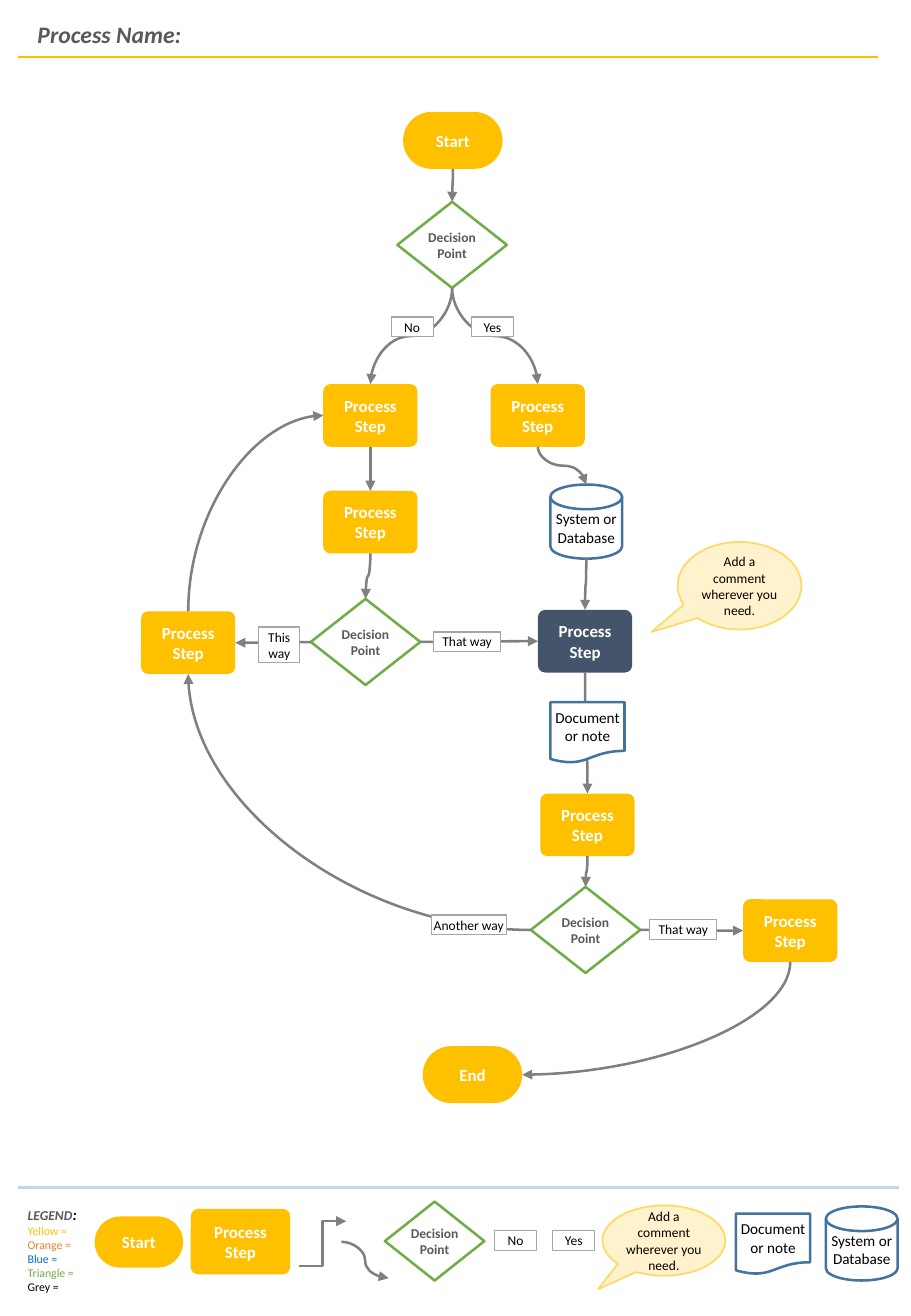
from typing import NamedTuple

from lxml import etree
from pptx import Presentation
from pptx.dml.color import RGBColor
from pptx.enum.shapes import MSO_CONNECTOR, MSO_SHAPE
from pptx.enum.text import MSO_ANCHOR, MSO_AUTO_SIZE, PP_ALIGN
from pptx.oxml.ns import qn
from pptx.util import Cm, Pt

STRAIGHT, ELBOW, CURVE = MSO_CONNECTOR.STRAIGHT, MSO_CONNECTOR.ELBOW, MSO_CONNECTOR.CURVE
ROUNDED, DIAMOND, RECTANGLE = MSO_SHAPE.ROUNDED_RECTANGLE, MSO_SHAPE.DIAMOND, MSO_SHAPE.RECTANGLE
DOCUMENT, DISK = MSO_SHAPE.FLOWCHART_DOCUMENT, MSO_SHAPE.FLOWCHART_MAGNETIC_DISK
CALLOUT = MSO_SHAPE.OVAL_CALLOUT
TOP_ANCHOR, MIDDLE = MSO_ANCHOR.TOP, MSO_ANCHOR.MIDDLE
GROW, FIXED = MSO_AUTO_SIZE.SHAPE_TO_FIT_TEXT, MSO_AUTO_SIZE.NONE
LEFT_ALIGN, CENTER = PP_ALIGN.LEFT, PP_ALIGN.CENTER
TOP, LEFT, BOTTOM, RIGHT = range(4)
TITLE_ONLY = 5

FONT = "Calibri"
YELLOW, GREEN, DARK, GREY = "FFC000", "70AD47", "595959", "808080"
NAVY, STEEL, BLACK, WHITE = "44546A", "43739E", "000000", "FFFFFF"
SLIDE_WIDTH, SLIDE_HEIGHT = 19.05, 27.51


class Style(NamedTuple):
    preset: int
    fill: str | None
    outline: str | None
    outline_width: float
    font_size: int
    font_color: str
    bold: bool
    inset: float
    size: tuple
    adjustments: tuple = ()


STEP = Style(ROUNDED, YELLOW, None, 0, 10, WHITE, True, 0.1, (1.97, 1.31), (0.116,))
TERMINAL = STEP._replace(size=(2.08, 1.19), adjustments=(0.5,))
DECISION = Style(DIAMOND, None, GREEN, 1.5, 8, DARK, True, 0, (2.29, 1.8))
DATABASE = Style(DISK, WHITE, STEEL, 1.5, 9, BLACK, False, 0.03, (1.5, 1.55))
NOTE = DATABASE._replace(preset=DOCUMENT, size=(1.55, 1.27))
LABEL = Style(RECTANGLE, WHITE, "A6A6A6", 0.75, 8, BLACK, False, 0.03, (0.88, 0.41))
COMMENT = Style(CALLOUT, "FFF2CC", "FFD966", 1, 8, BLACK, False, 0.03, (2.59, 1.83), (-0.711, 0.528))

STEP_TEXT, DECISION_TEXT = "Process Step", "Decision Point"
DATABASE_TEXT, NOTE_TEXT = "System or Database", "Document or note"
COMMENT_TEXT = "Add a comment wherever you need."


def color(value):
    return RGBColor.from_string(value)


def add_run(paragraph, text, size, font_color, bold=False, italic=False):
    run = paragraph.add_run()
    run.text = text
    run.font.name = FONT
    run.font.size = Pt(size)
    run.font.bold = bold
    run.font.italic = italic
    run.font.color.rgb = color(font_color)


def add_node(slide, box, style, text, left, top, size=None):
    width, height = size or style.size
    shape = slide.shapes.add_shape(style.preset, Cm(box[0] + left), Cm(box[1] + top), Cm(width), Cm(height))
    shape.shadow.inherit = False
    for index, value in enumerate(style.adjustments):
        shape.adjustments[index] = value
    if style.fill:
        shape.fill.solid()
        shape.fill.fore_color.rgb = color(style.fill)
    else:
        shape.fill.background()
    if style.outline:
        shape.line.color.rgb = color(style.outline)
        shape.line.width = Pt(style.outline_width)
    else:
        shape.line.fill.background()
    frame = shape.text_frame
    frame.word_wrap = True
    frame.margin_left = frame.margin_right = frame.margin_top = frame.margin_bottom = Cm(style.inset)
    frame.vertical_anchor = TOP_ANCHOR if style is LABEL else MIDDLE
    frame.auto_size = GROW if style is LABEL else FIXED
    paragraph = frame.paragraphs[0]
    paragraph.alignment = CENTER
    add_run(paragraph, text, style.font_size, style.font_color, style.bold)
    return shape


def add_line(slide, kind, begin, end, line_color, arrow=False):
    connector = slide.shapes.add_connector(kind, *begin, *end)
    connector.line.color.rgb = color(line_color)
    connector.line.width = Pt(1.5)
    properties = connector._element.spPr
    if arrow:
        etree.SubElement(properties.find(qn("a:ln")), qn("a:tailEnd"), type="triangle")
    etree.SubElement(properties, qn("a:effectLst"))
    return connector


def side_point(shape, side):
    across = {LEFT: 0, RIGHT: shape.width}.get(side, shape.width // 2)
    down = {TOP: 0, BOTTOM: shape.height}.get(side, shape.height // 2)
    return shape.left + across, shape.top + down


def site(shape, side):
    return side + (shape.auto_shape_type == DISK)


def join(slide, first, first_side, last, last_side):
    begin, end = side_point(first, first_side), side_point(last, last_side)
    connector = add_line(slide, CURVE, begin, end, GREY, True)
    connector.begin_connect(first, site(first, first_side))
    connector.end_connect(last, site(last, last_side))

    across, down = end[0] - begin[0], end[1] - begin[1]
    vertical = first_side in (TOP, BOTTOM)
    width, height = (abs(down), abs(across)) if vertical else (abs(across), abs(down))
    connector.left = (begin[0] + end[0] - width) // 2
    connector.top = (begin[1] + end[1] - height) // 2
    connector.width, connector.height = width, height
    if vertical:
        rotation = 270 if across > 0 and down > 0 else 90
        flip_h, flip_v = across > 0, down < 0
    else:
        rotation = 180 if across < 0 else 0
        flip_h, flip_v = False, (across > 0) == (down < 0)
    properties = connector._element.spPr
    transform = properties.find(qn("a:xfrm"))
    transform.set("rot", str(rotation * 60000))
    transform.set("flipH", str(int(flip_h)))
    transform.set("flipV", str(int(flip_v)))
    if vertical != (last_side in (TOP, BOTTOM)):
        properties.find(qn("a:prstGeom")).set("prst", "curvedConnector2")


def add_header(slide, box):
    left, top, width, height = box
    title = slide.shapes.title
    title.left, title.top, title.width, title.height = Cm(left + 0.15), Cm(top), Cm(4.83), Cm(0.86)
    frame = title.text_frame
    frame.vertical_anchor = TOP_ANCHOR
    frame.auto_size = GROW
    frame.paragraphs[0].alignment = LEFT_ALIGN
    add_run(frame.paragraphs[0], "Process Name:", 14, DARK, True, True)
    baseline = Cm(top + height)
    add_line(slide, STRAIGHT, (Cm(left), baseline), (Cm(left + width), baseline), YELLOW)


def add_flow(slide, box):
    def node(style, text, left, top, size=None):
        return add_node(slide, box, style, text, left, top, size)

    start = node(TERMINAL, "Start", 5.48, 0)
    first_decision = node(DECISION, DECISION_TEXT, 5.36, 1.88)
    no_step = node(STEP, STEP_TEXT, 3.81, 5.69)
    yes_step = node(STEP, STEP_TEXT, 7.31, 5.69)
    follow_step = node(STEP, STEP_TEXT, 3.81, 7.92)
    database = node(DATABASE, DATABASE_TEXT, 8.56, 7.79)
    way_decision = node(DECISION, DECISION_TEXT, 3.55, 10.18)
    return_step = node(STEP, STEP_TEXT, 0, 10.44)
    navy_step = node(STEP._replace(fill=NAVY), STEP_TEXT, 8.3, 10.41)
    noted_step = node(STEP, STEP_TEXT, 8.35, 14.25)
    last_decision = node(DECISION, DECISION_TEXT, 8.15, 16.2)
    last_step = node(STEP, STEP_TEXT, 12.59, 16.46)
    finish = node(TERMINAL, "End", 5.89, 19.53)
    node(COMMENT, COMMENT_TEXT, 11.22, 8.99)

    for first, first_side, last, last_side in (
        (start, BOTTOM, first_decision, TOP),
        (first_decision, BOTTOM, no_step, TOP),
        (first_decision, BOTTOM, yes_step, TOP),
        (no_step, BOTTOM, follow_step, TOP),
        (follow_step, BOTTOM, way_decision, TOP),
        (way_decision, LEFT, return_step, RIGHT),
        (way_decision, RIGHT, navy_step, LEFT),
        (return_step, TOP, no_step, LEFT),
        (yes_step, BOTTOM, database, TOP),
        (database, BOTTOM, navy_step, TOP),
        (navy_step, BOTTOM, noted_step, TOP),
        (noted_step, BOTTOM, last_decision, TOP),
        (last_decision, LEFT, return_step, BOTTOM),
        (last_decision, RIGHT, last_step, LEFT),
        (last_step, BOTTOM, finish, RIGHT),
    ):
        join(slide, first, first_side, last, last_side)

    node(NOTE, NOTE_TEXT, 8.56, 12.34)
    node(LABEL, "No", 5.23, 4.29)
    node(LABEL, "Yes", 6.91, 4.29)
    node(LABEL, "This way", 2.46, 10.77, (0.86, 0.74))
    node(LABEL, "That way", 6.12, 10.87, (1.4, 0.41))
    node(LABEL, "Another way", 6.07, 16.79, (1.57, 0.41))
    node(LABEL, "That way", 10.64, 16.89, (1.4, 0.41))


def add_legend(slide, box):
    left, top, width, height = box
    add_line(slide, STRAIGHT, (Cm(left), Cm(top)), (Cm(left + width), Cm(top)), "BDD7EE")
    key = slide.shapes.add_textbox(Cm(left - 0.05), Cm(top + 0.25), Cm(2.49), Cm(height - 0.25))
    frame = key.text_frame
    frame.word_wrap = True
    frame.auto_size = GROW
    add_run(frame.paragraphs[0], "LEGEND", 8, DARK, True, True)
    add_run(frame.paragraphs[0], ":", 9, BLACK, True, True)
    for text, text_color in (("Yellow =", YELLOW), ("Orange =", "ED7D31"), ("Blue =", "0070C0"),
                             ("Triangle =", GREEN), ("Grey =", BLACK)):
        add_run(frame.add_paragraph(), text, 7, text_color)

    for style, text, x, y, size in (
        (TERMINAL, "Start", 1.6, 0.61, (1.85, 1.07)),
        (STEP, STEP_TEXT, 3.61, 0.45, (2.08, 1.37)),
        (DECISION, DECISION_TEXT, 7.67, 0.3, (2.08, 1.65)),
        (LABEL, "No", 9.96, 0.91, None),
        (LABEL, "Yes", 11.18, 0.91, None),
        (COMMENT._replace(adjustments=(-0.536, 0.692)), COMMENT_TEXT, 12.22, 0.38, (2.57, 1.47)),
        (NOTE, NOTE_TEXT, 15.01, 0.55, None),
        (DATABASE, DATABASE_TEXT, 16.89, 0.4, None),
    ):
        add_node(slide, box, style, text, x, y, size)
    for kind, x, y, end_x, end_y in ((ELBOW, 5.87, 1.65, 6.86, 0.71), (CURVE, 6.76, 1.14, 7.75, 1.9)):
        add_line(slide, kind, (Cm(left + x), Cm(top + y)), (Cm(left + end_x), Cm(top + end_y)), GREY, True)


def main():
    presentation = Presentation()
    presentation.slide_width, presentation.slide_height = Cm(SLIDE_WIDTH), Cm(SLIDE_HEIGHT)
    slide = presentation.slides.add_slide(presentation.slide_layouts[TITLE_ONLY])
    add_header(slide, (0.38, 0.28, 17.98, 0.91))
    add_flow(slide, (2.95, 2.34))
    add_legend(slide, (0.38, 24.82, 18.42, 2.38))
    presentation.save("out.pptx")


if __name__ == "__main__":
    main()
